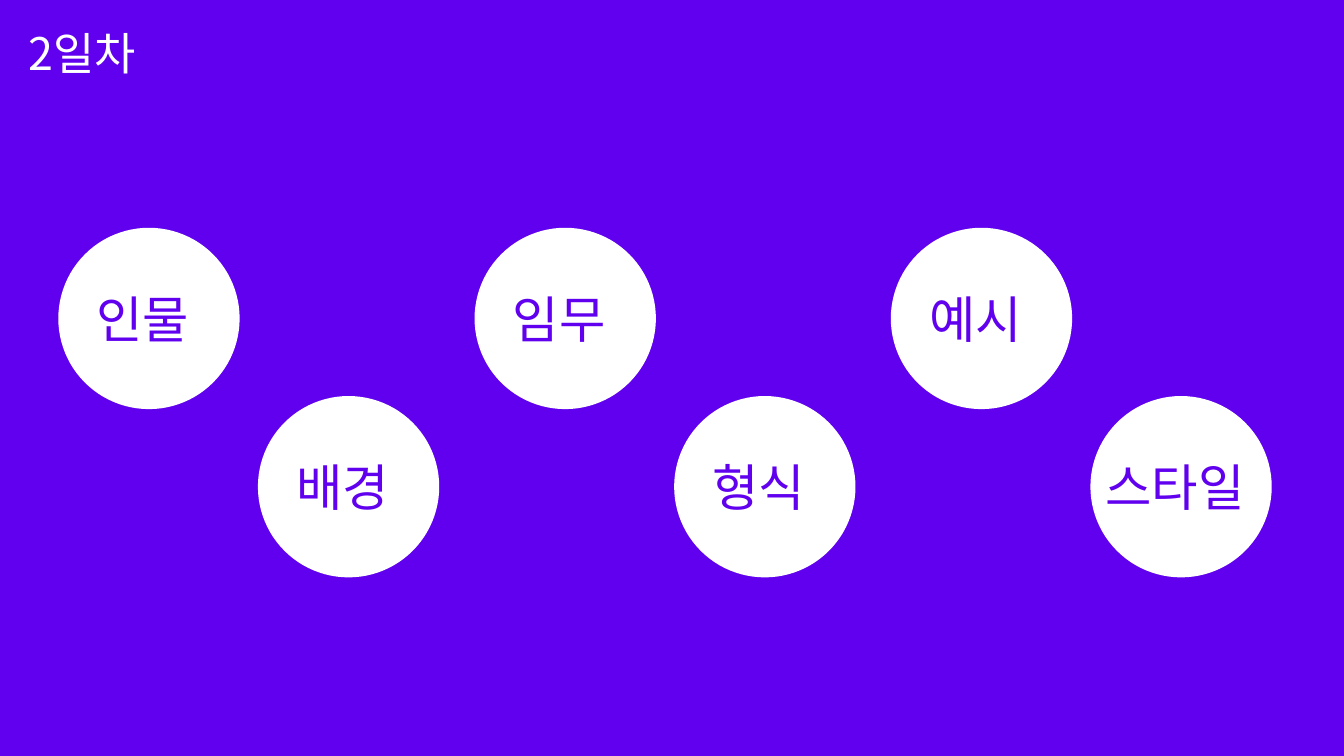
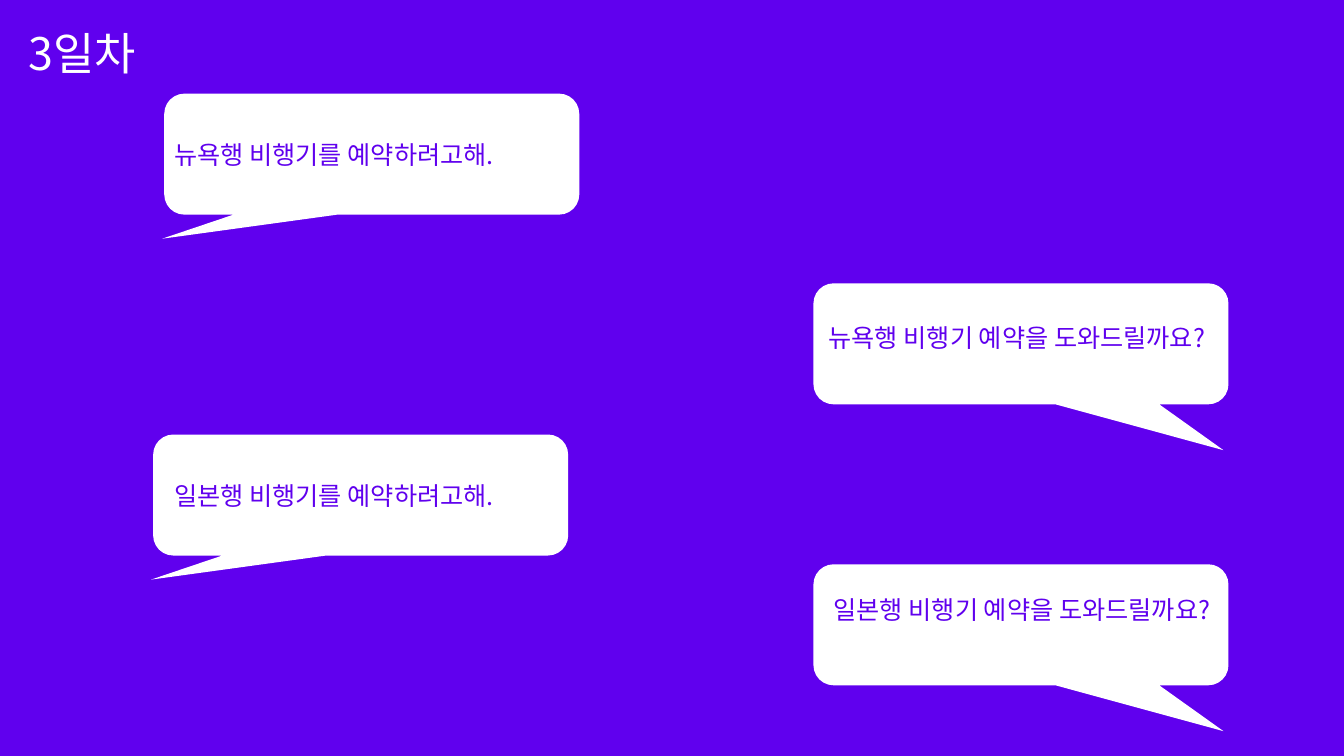
from pptx import Presentation
from pptx.dml.color import RGBColor
from pptx.enum.shapes import MSO_SHAPE as Shape
from pptx.enum.text import MSO_ANCHOR as Anchor, MSO_AUTO_SIZE as Auto, PP_ALIGN as Align
from pptx.oxml.ns import qn
from pptx.util import Cm, Pt
from lxml.etree import SubElement

FONT = "Noto Sans CJK KR"
VIOLET, WHITE = "6000EE", "FFFFFF"

TOPICS = ["인물", "배경", "임무", "형식", "예시", "스타일"]
DISC, LEFT, PAIR, STEP = 4.57, 1.47, 10.49, 5.03
ROWS = (5.74, 9.98)

ASK, REPLY = (-0.505, 0.699, 0.167), (0.488, 0.879, 0.167)
BUBBLE = (10.46, 3.05)
# text, left, top, tail, left inset, bottom inset
CHAT = [
    ("뉴욕행 비행기를 예약하려고해.", 4.14, 2.36, ASK, 0.1, 0),
    ("뉴욕행 비행기 예약을 도와드릴까요?", 20.5, 7.14, REPLY, 0.23, 0.32),
    ("일본행 비행기를 예약하려고해.", 3.86, 10.95, ASK, 0.38, 0),
    ("일본행 비행기 예약을 도와드릴까요?", 20.5, 14.22, REPLY, 0.36, 0.8),
]


def paint(fill, color):
    fill.solid()
    fill.fore_color.rgb = RGBColor.from_string(color)


def write(shape, text, size, color, align=Align.LEFT, anchor=Anchor.MIDDLE,
          wrap=True, inset=(0, 0, 0, 0)):
    """Fill a shape with one paragraph; inset is left, top, right, bottom in cm."""
    frame = shape.text_frame
    frame.text = text
    frame.word_wrap, frame.auto_size = wrap, Auto.NONE
    frame.vertical_anchor = anchor
    (frame.margin_left, frame.margin_top,
     frame.margin_right, frame.margin_bottom) = map(Cm, inset)
    para = frame.paragraphs[0]
    para.alignment = align
    font = para.font
    font.size, font.name = Pt(size), FONT
    paint(font.fill, color)
    # Korean text takes the East Asian typeface
    props = para._p.pPr.find(qn("a:defRPr"))
    SubElement(props, qn("a:ea")).set("typeface", FONT)


def add_page(deck, title):
    page = deck.slides.add_slide(deck.slide_layouts[5])
    head = page.shapes.title
    head.left, head.top, head.width, head.height = map(Cm, (0.46, 0.51, 3.71, 1.63))
    write(head, title, 32, WHITE, anchor=Anchor.TOP, inset=(0.25, 0.13, 0, 0.13))
    return page


def add_white(page, kind, *box):
    shape = page.shapes.add_shape(kind, *map(Cm, box))
    shape.shadow.inherit = False
    paint(shape.fill, WHITE)
    shape.line.fill.background()
    return shape


def add_topics(page):
    for i, topic in enumerate(TOPICS):
        pair, row = divmod(i, 2)
        disc = add_white(page, Shape.OVAL, LEFT + pair * PAIR + row * STEP,
                         ROWS[row], DISC, DISC)
        write(disc, topic, 36, VIOLET, Align.CENTER, wrap=False, inset=(0, 0, 0.3, 0))


def add_chat(page):
    for text, left, top, tail, indent, lift in CHAT:
        bubble = add_white(page, Shape.ROUNDED_RECTANGULAR_CALLOUT, left, top, *BUBBLE)
        for i, value in enumerate(tail):
            bubble.adjustments[i] = value
        write(bubble, text, 18, VIOLET, inset=(indent, 0, 0, lift))


def main():
    deck = Presentation()
    deck.slide_width, deck.slide_height = Cm(33.87), Cm(19.05)
    paint(deck.slide_master.background.fill, VIOLET)
    add_topics(add_page(deck, "2일차"))
    add_chat(add_page(deck, "3일차"))
    deck.save("out.pptx")


if __name__ == "__main__":
    main()
